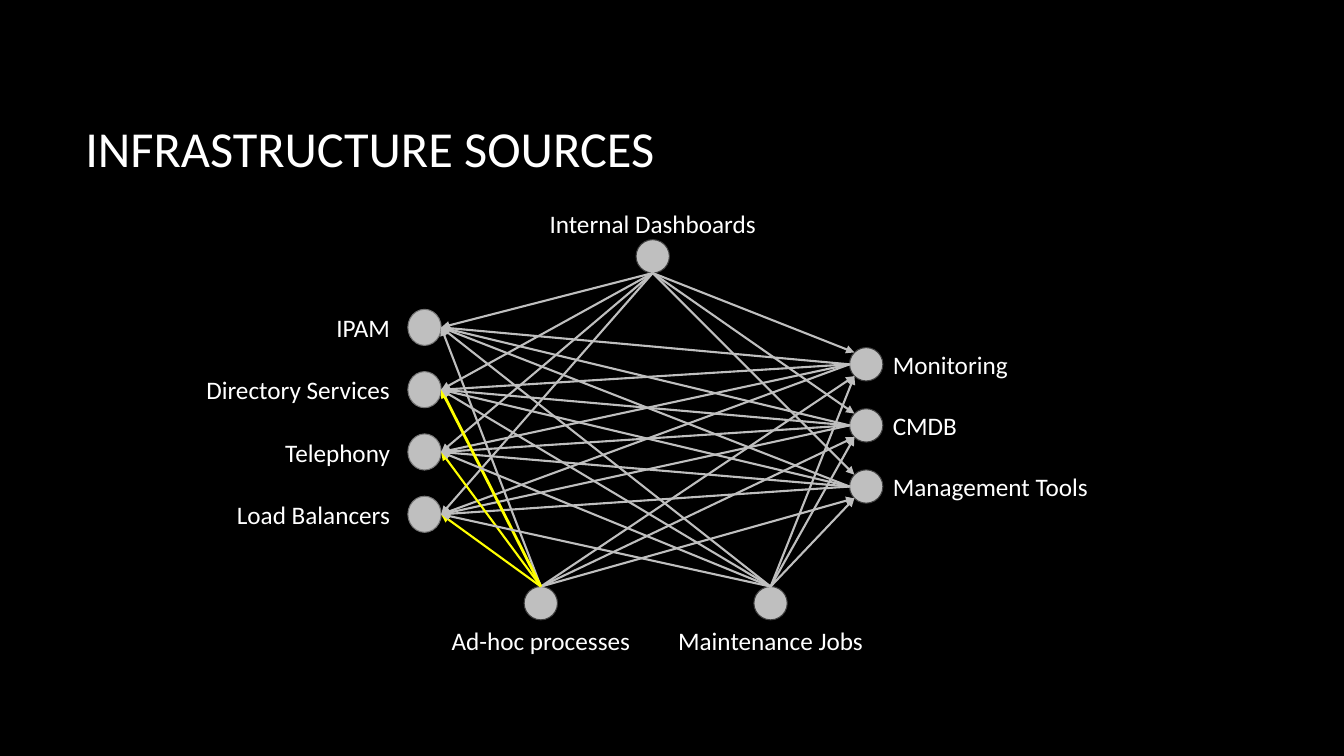
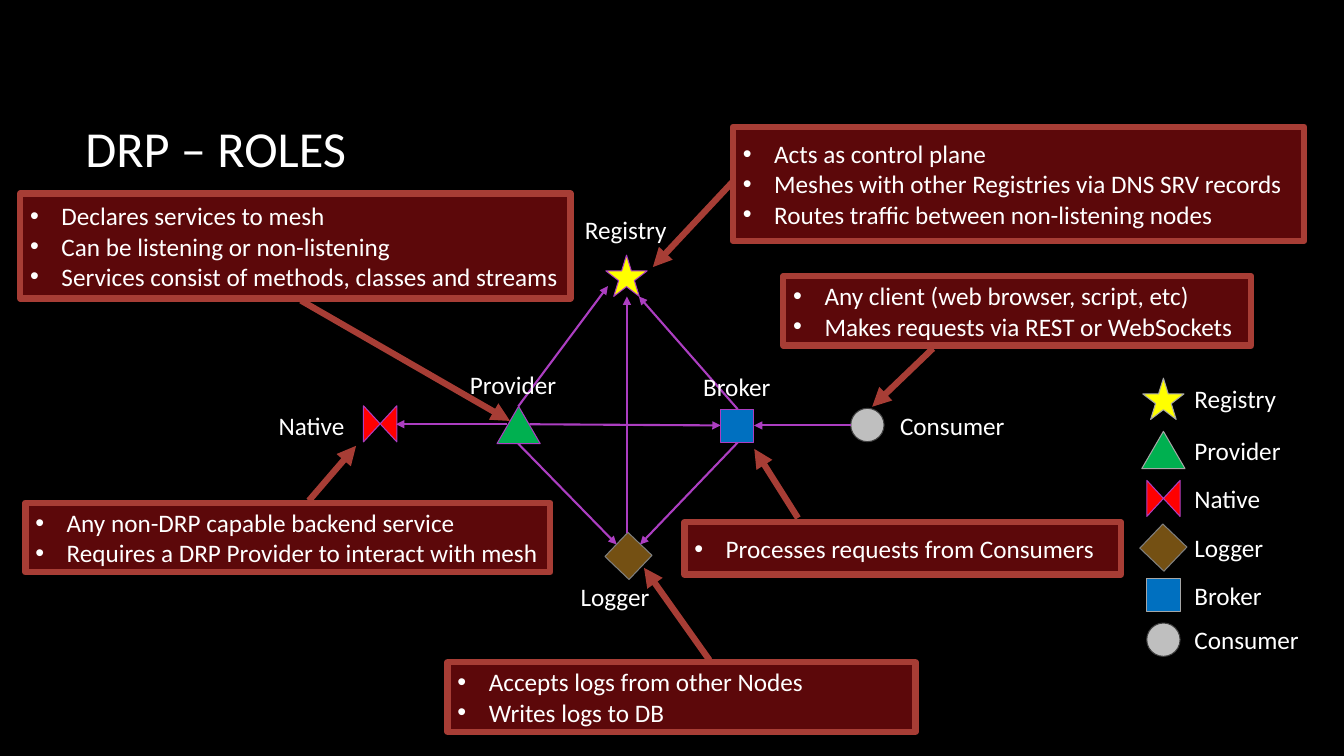
from itertools import product
from lxml.etree import SubElement
from pptx import Presentation
from pptx.dml.color import RGBColor
from pptx.enum.shapes import MSO_CONNECTOR, MSO_SHAPE
from pptx.enum.text import MSO_ANCHOR, PP_ALIGN
from pptx.oxml.ns import qn
from pptx.util import Cm, Pt

BLACK = RGBColor(0x00, 0x00, 0x00)
WHITE = RGBColor(0xFF, 0xFF, 0xFF)
SILVER = RGBColor(0xBF, 0xBF, 0xBF)
PALE_GRAY = RGBColor(0xA6, 0xA6, 0xA6)
MID_GRAY = RGBColor(0x80, 0x80, 0x80)
DIM_GRAY = RGBColor(0x76, 0x76, 0x76)
DARK_GRAY = RGBColor(0x40, 0x40, 0x40)
YELLOW = RGBColor(0xFF, 0xFF, 0x00)
RED = RGBColor(0xFF, 0x00, 0x00)
GREEN = RGBColor(0x00, 0xB0, 0x50)
BLUE = RGBColor(0x00, 0x70, 0xC0)
BROWN = RGBColor(0x74, 0x50, 0x13)
PURPLE = RGBColor(0xAC, 0x3E, 0xC1)
MAROON = RGBColor(0x5C, 0x08, 0x0A)
BRICK = RGBColor(0xA7, 0x3D, 0x35)

TITLE_FONT = dict(name="Calibri", size=Pt(36))
BODY_FONT = dict(name="Calibri", size=Pt(18))
LEFT, CENTER, RIGHT = PP_ALIGN.LEFT, PP_ALIGN.CENTER, PP_ALIGN.RIGHT
LABEL_H = 1.02
NODE = 0.84

SOURCES = ["IPAM", "Directory Services", "Telephony", "Load Balancers"]
SOURCE_X, SOURCE_TOP, SOURCE_STEP = 10.7, 8.25, 1.57
TOOLS = ["Monitoring", "CMDB", "Management Tools"]
TOOL_X, TOOL_TOP, TOOL_STEP = 21.83, 9.18, 1.54
HUBS = [
    ("Internal Dashboards", 16.45, 6.46, 5.64, 1),
    ("Ad-hoc processes", 13.63, 15.2, 16.13, -1),
    ("Maintenance Jobs", 19.42, 15.2, 16.13, -1),
]
HIGHLIGHTS = {
    ("Ad-hoc processes", "Directory Services"): 2,
    ("Ad-hoc processes", "Telephony"): 1.5,
    ("Ad-hoc processes", "Load Balancers"): 1.5,
}

ROLES = {
    "Registry": (MSO_SHAPE.STAR_5_POINT, 1.04, 1.04, 0, YELLOW, PURPLE, PALE_GRAY),
    "Provider": (MSO_SHAPE.ISOSCELES_TRIANGLE, 1.09, 0.94, 0, GREEN, PURPLE, PALE_GRAY),
    "Native": (MSO_SHAPE.FLOWCHART_COLLATE, 0.91, NODE, 90, RED, PURPLE, PURPLE),
    "Logger": (MSO_SHAPE.RECTANGLE, NODE, NODE, 313.7, BROWN, MID_GRAY, MID_GRAY),
    "Broker": (MSO_SHAPE.RECTANGLE, NODE, NODE, 0, BLUE, PURPLE, PALE_GRAY),
    "Consumer": (MSO_SHAPE.OVAL, NODE, NODE, 0, SILVER, DARK_GRAY, DARK_GRAY),
}
MESH = [
    ("Registry", (15.79, 6.95), (15.77, 5.79)),
    ("Provider", (13.07, 10.71), (12.93, 9.68)),
    ("Native", (9.58, 10.68), (7.85, 10.72)),
    ("Logger", (15.84, 14.01), (15.5, 15.04)),
    ("Broker", (18.58, 10.73), (18.57, 9.73)),
    ("Consumer", (21.86, 10.71), (24, 10.72)),
]
LINKS = [
    ((13.06, 10.24), (15.32, 7.21)),
    ((12.78, 10.69), (9.98, 10.69)),
    ((18.59, 10.31), (16.1, 7.47)),
    ((13.34, 10.69), (18.16, 10.72)),
    ((18.59, 11.15), (16.13, 13.72)),
    ((15.8, 13.44), (15.8, 7.47)),
    ((13.06, 11.18), (15.54, 13.72)),
    ((21.44, 10.72), (19, 10.72)),
]
LEGEND_X, LEGEND_TEXT_X = 29.32, 29.85
LEGEND_YS = [10.05, 11.34, 12.56, 13.8, 15, 16.12]
CALLOUTS = [
    ((18.47, 3.2, 14.4, 2.87), (0.48, 0, 1.23, -0.14),
     ["Acts as control plane",
      "Meshes with other Registries via DNS SRV records",
      "Routes traffic between non-listening nodes"]),
    ((19.74, 6.96, 11.79, 1.75), (1.04, 0.32, 1.88, 0.19),
     ["Any client (web browser, script, etc)",
      "Makes requests via REST or WebSockets"]),
    ((11.28, 16.69, 11.79, 1.75), (-0.03, 0.56, -1.36, 0.42),
     ["Accepts logs from other Nodes", "Writes logs to DB"]),
    ((0.64, 12.67, 13.23, 1.75), (-0.03, 0.54, -0.82, 0.63),
     ["Any non-DRP capable backend service",
      "Requires a DRP Provider to interact with mesh"]),
    ((0.51, 4.88, 13.87, 2.64), (1.02, 0.51, 2.17, 0.89),
     ["Declares services to mesh",
      "Can be listening or non-listening",
      "Services consist of methods, classes and streams"]),
    ((17.25, 13.16, 11, 1.32), (-0.08, 0.26, -1.4, 0.16),
     ["Processes requests from Consumers"]),
]


def add_run(p, text, font):
    r = p.add_run()
    r.text = text
    for name, value in font.items():
        setattr(r.font, name, value)
    r.font.color.rgb = WHITE


def add_text(s, text, x, y, w, h, font=BODY_FONT, align=LEFT):
    tf = s.shapes.add_textbox(Cm(x), Cm(y), Cm(w), Cm(h)).text_frame
    tf.word_wrap = True
    tf.vertical_anchor = MSO_ANCHOR.MIDDLE
    p = tf.paragraphs[0]
    p.alignment = align
    add_run(p, text, font)


def add_label(s, text, x, cy, w, align=LEFT):
    left = x - {LEFT: 0, CENTER: w / 2, RIGHT: w}[align]
    add_text(s, text, left, cy - LABEL_H / 2, w, LABEL_H, align=align)


def add_figure(s, kind, x, y, w, h, fill, line, weight=0.75):
    sp = s.shapes.add_shape(kind, Cm(x), Cm(y), Cm(w), Cm(h))
    sp.shadow.inherit = False
    sp.fill.solid()
    sp.fill.fore_color.rgb = fill
    sp.line.color.rgb = line
    sp.line.width = Pt(weight)
    return sp


def add_node(s, kind, cx, cy, w, h, fill, line, rotation=0):
    sp = add_figure(s, kind, cx - w / 2, cy - h / 2, w, h, fill, line)
    sp.rotation = rotation


def add_arrowhead(sp):
    SubElement(sp.line._get_or_add_ln(), qn("a:tailEnd"), type="triangle")


def add_arrow(s, start, end, color, weight=1.5):
    ends = [Cm(v) for v in (*start, *end)]
    line = s.shapes.add_connector(MSO_CONNECTOR.STRAIGHT, *ends)
    line.line.color.rgb = color
    line.line.width = Pt(weight)
    add_arrowhead(line)
    SubElement(line._element.spPr, qn("a:effectLst"))


def add_callout(s, box, pointer, lines):
    sp = add_figure(s, MSO_SHAPE.LINE_CALLOUT_1, *box, MAROON, BRICK, 4.5)
    for i, value in enumerate(pointer):
        sp.adjustments[i] = value
    add_arrowhead(sp)
    tf = sp.text_frame
    tf.word_wrap = True
    tf.vertical_anchor = MSO_ANCHOR.MIDDLE
    for i, text in enumerate(lines):
        p = tf.add_paragraph() if i else tf.paragraphs[0]
        p.alignment = LEFT
        pPr = p._p.get_or_add_pPr()
        pPr.set("marL", str(Cm(0.79)))
        pPr.set("indent", str(Cm(-0.79)))
        SubElement(pPr, qn("a:buFont"), typeface="Arial")
        SubElement(pPr, qn("a:buChar"), char="•")
        add_run(p, text, BODY_FONT)


def add_slide(prs, title):
    s = prs.slides.add_slide(prs.slide_layouts[6])
    add_text(s, title, 1.9, 1.7, 28.15, 4.04, TITLE_FONT)
    return s


def build_sources(prs):
    s = add_slide(prs, "INFRASTRUCTURE SOURCES")
    sources = [(n, SOURCE_TOP + i * SOURCE_STEP) for i, n in enumerate(SOURCES)]
    tools = [(n, TOOL_TOP + i * TOOL_STEP) for i, n in enumerate(TOOLS)]
    port_x = SOURCE_X + NODE / 2
    diagonal = NODE / 2 * 0.71
    for name, cy in sources:
        add_node(s, MSO_SHAPE.OVAL, SOURCE_X, cy, NODE, 0.91, SILVER, DIM_GRAY)
        add_label(s, name, SOURCE_X - 0.62, cy, 5.2, RIGHT)
    for name, cy in tools:
        add_node(s, MSO_SHAPE.OVAL, TOOL_X, cy, NODE, NODE, SILVER, DARK_GRAY)
        add_label(s, name, TOOL_X + 0.42, cy, 5.64)
    for (_, tool_y), (_, source_y) in product(tools, sources):
        add_arrow(s, (TOOL_X - NODE / 2, tool_y), (port_x, source_y), SILVER)
    for hub, cx, cy, label_y, side in HUBS:
        add_node(s, MSO_SHAPE.OVAL, cx, cy, NODE, NODE, SILVER, DARK_GRAY)
        add_label(s, hub, cx, label_y, 6, CENTER)
        start = (cx, cy + side * NODE / 2)
        for _, tool_y in tools:
            add_arrow(s, start, (TOOL_X - diagonal, tool_y - side * diagonal), SILVER)
        for name, source_y in sources:
            weight = HIGHLIGHTS.get((hub, name))
            color = YELLOW if weight else SILVER
            add_arrow(s, start, (port_x, source_y), color, weight or 1.5)


def build_roles(prs):
    s = add_slide(prs, "DRP – ROLES")
    for role, center, _ in MESH:
        kind, w, h, rotation, fill, line, _ = ROLES[role]
        add_node(s, kind, *center, w, h, fill, line, rotation)
    for start, end in LINKS:
        add_arrow(s, start, end, PURPLE)
    for (role, look), cy in zip(ROLES.items(), LEGEND_YS):
        kind, w, h, rotation, fill, _, line = look
        add_node(s, kind, LEGEND_X, cy, w, h, fill, line, rotation)
        add_label(s, role, LEGEND_TEXT_X, cy, 3.3)
    for callout in CALLOUTS:
        add_callout(s, *callout)
    for role, _, spot in MESH:
        add_label(s, role, *spot, 3.3, CENTER)


def main():
    prs = Presentation()
    prs.slide_width, prs.slide_height = Cm(33.87), Cm(19.05)
    fill = prs.slide_master.background.fill
    fill.solid()
    fill.fore_color.rgb = BLACK
    build_sources(prs)
    build_roles(prs)
    prs.save("out.pptx")


if __name__ == "__main__":
    main()
